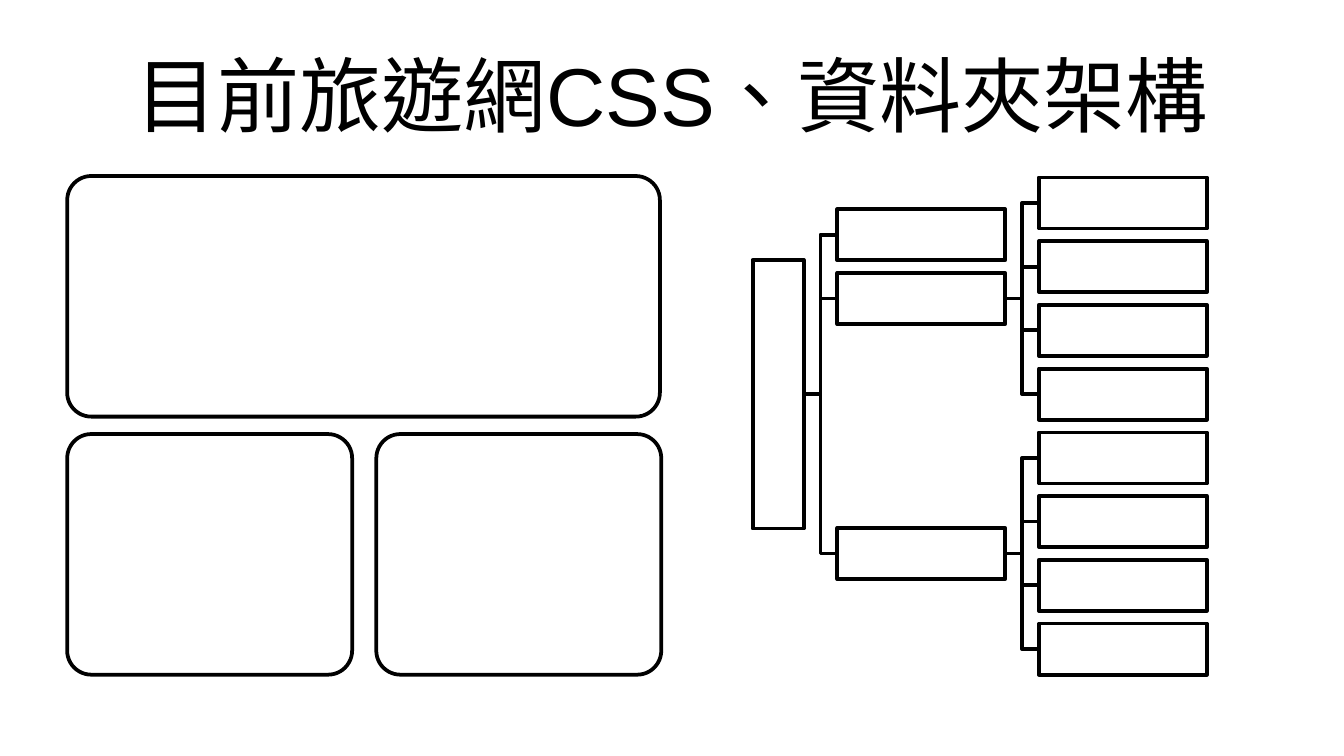
"""Builds a slide with three panels and a folder tree."""
from pptx import Presentation
from pptx.dml.color import RGBColor
from pptx.enum.lang import MSO_LANGUAGE_ID
from pptx.enum.shapes import MSO_SHAPE
from pptx.enum.text import MSO_ANCHOR, PP_ALIGN
from pptx.util import Inches, Pt

COLORS = {"ink": "000000", "paper": "FFFFFF"}
TITLE_FONT = {
    "size": Pt(44),
    "name": "Arial",
    "language_id": MSO_LANGUAGE_ID.TRADITIONAL_CHINESE,
}
BOX_W, BOX_H = 1.25, 0.38
ROOT_X, ROOT_LENGTH, ROOT_ROW = 5.6, 2, 3
FOLDER_X, FILE_X = 6.23, 7.73
FIRST_ROW_Y, LAST_ROW_Y, ROW_COUNT = 1.51, 4.83, 8
FOLDERS = {0.5: [], 1.5: [0, 1, 2, 3], 5.5: [4, 5, 6, 7]}
PANELS = [(0.5, 1.31, 4.41), (0.5, 3.23, 2.12), (2.8, 3.23, 2.12)]
PANEL_H = 1.79


class Deck:
    """Holds the style and the current slide."""

    def __init__(self, prs):
        self.slide = prs.slides.add_slide(prs.slide_layouts[6])

    def color(self, name):
        """Returns a named colour."""
        return RGBColor.from_string(COLORS[name])

    def outline(self, s):
        """Gives a shape the common line."""
        s.shadow.inherit = False
        s.line.color.rgb = self.color("ink")
        s.line.width = Pt(2)

    def box(self, x, y, w, h, kind=MSO_SHAPE.RECTANGLE):
        """Adds an outlined box."""
        s = self.slide.shapes.add_shape(kind, Inches(x), Inches(y), Inches(w), Inches(h))
        s.fill.solid()
        s.fill.fore_color.rgb = self.color("paper")
        self.outline(s)
        return s

    def panel(self, x, y, w, h):
        """Adds a rounded panel."""
        s = self.box(x, y, w, h, MSO_SHAPE.ROUNDED_RECTANGLE)
        s.adjustments[0] = 0.1

    def branch(self, x1, y1, x2, y2):
        """Adds an open elbow line between two boxes."""
        mid = (x1 + x2) / 2
        points = [(mid, y1), (mid, y2), (x2, y2)]
        builder = self.slide.shapes.build_freeform(Inches(x1), Inches(y1))
        builder.add_line_segments([(Inches(x), Inches(y)) for x, y in points], close=False)
        s = builder.convert_to_shape()
        s.fill.background()
        self.outline(s)

    def title(self, text, x, y, w, h):
        """Adds the centred title."""
        tf = self.slide.shapes.add_textbox(Inches(x), Inches(y), Inches(w), Inches(h)).text_frame
        tf.word_wrap = True
        tf.vertical_anchor = MSO_ANCHOR.MIDDLE
        p = tf.paragraphs[0]
        p.alignment = PP_ALIGN.CENTER
        r = p.add_run()
        r.text = text
        for name, value in TITLE_FONT.items():
            setattr(r.font, name, value)
        r.font.color.rgb = self.color("ink")


def row_y(row):
    """Returns the middle of a tree row."""
    return FIRST_ROW_Y + row * (LAST_ROW_Y - FIRST_ROW_Y) / (ROW_COUNT - 1)


def build():
    """Draws the slide and saves it."""
    prs = Presentation()
    prs.slide_width = Inches(10)
    prs.slide_height = prs.slide_width * 9 // 16
    deck = Deck(prs)
    deck.title("目前旅遊網CSS、資料夾架構", 0.5, 0.23, 9, 0.94)
    for x, y, w in PANELS:
        deck.panel(x, y, w, PANEL_H)

    for folder, files in FOLDERS.items():
        deck.branch(ROOT_X + BOX_H, row_y(ROOT_ROW), FOLDER_X, row_y(folder))
        for file in files:
            deck.branch(FOLDER_X + BOX_W, row_y(folder), FILE_X, row_y(file))

    root_x = ROOT_X + (BOX_H - ROOT_LENGTH) / 2
    root = deck.box(root_x, row_y(ROOT_ROW) - BOX_H / 2, ROOT_LENGTH, BOX_H)
    root.rotation = 270
    for folder, files in FOLDERS.items():
        deck.box(FOLDER_X, row_y(folder) - BOX_H / 2, BOX_W, BOX_H)
        for file in files:
            deck.box(FILE_X, row_y(file) - BOX_H / 2, BOX_W, BOX_H)

    prs.save("out.pptx")


build()
